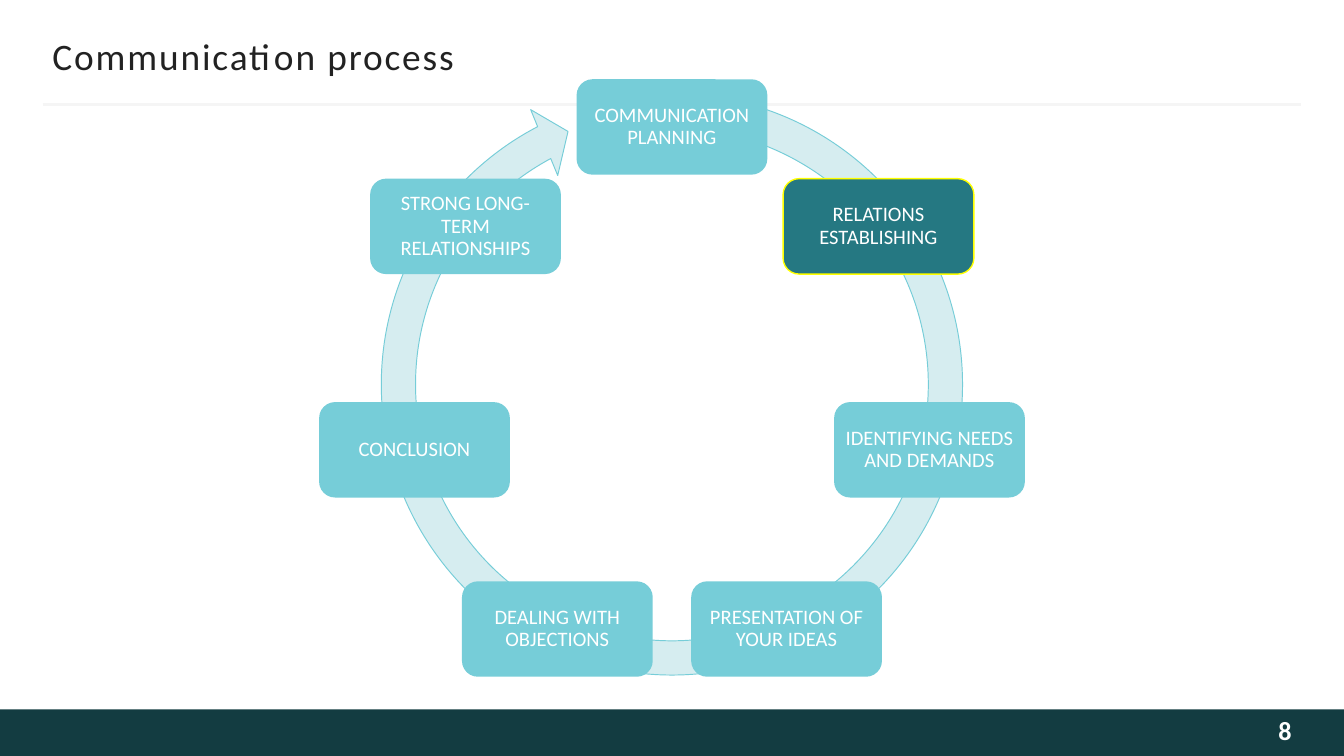
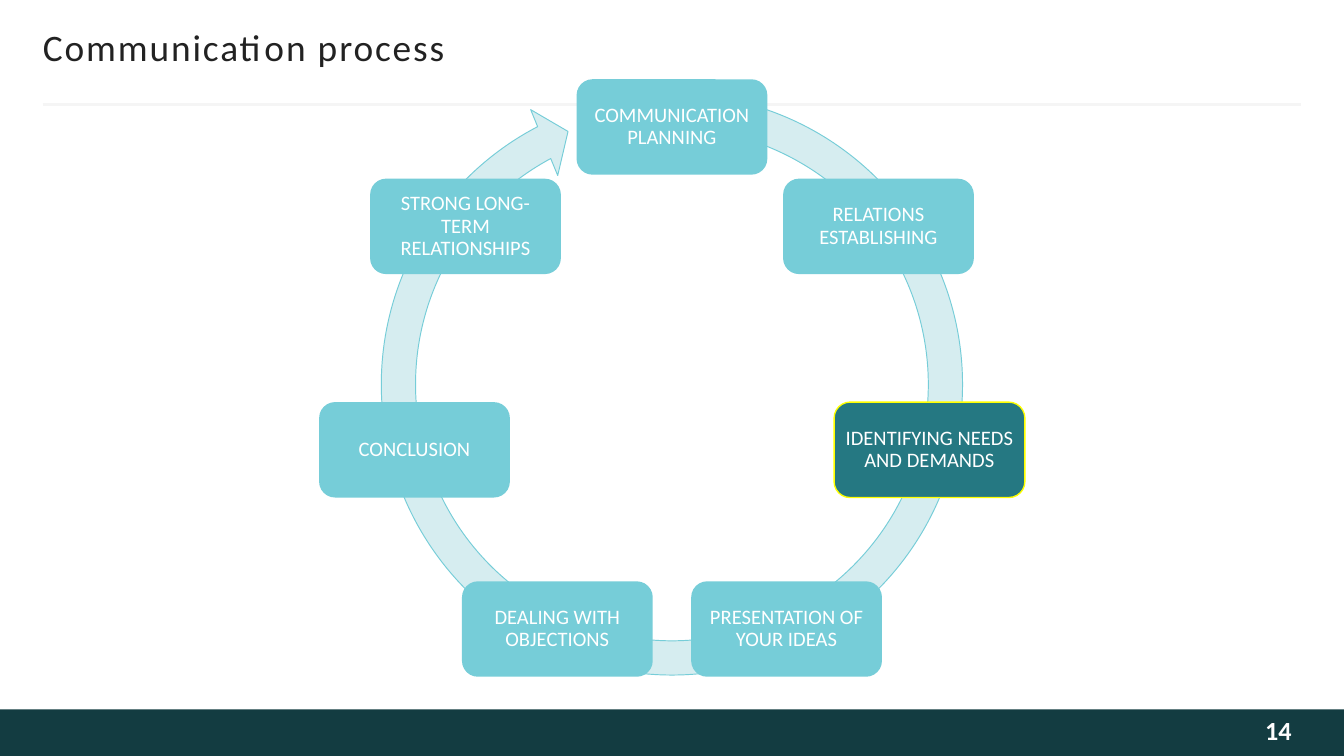
import math
from dataclasses import dataclass

from lxml import etree
from pptx import Presentation
from pptx.dml.color import RGBColor
from pptx.enum import shapes, text
from pptx.oxml.ns import qn
from pptx.util import Pt

FONT = "Calibri"
WHITE = RGBColor(0xFF, 0xFF, 0xFF)
NUMBER_WHITE = RGBColor(0xFE, 0xFE, 0xFE)
INK = RGBColor(0x22, 0x22, 0x22)
RULE_GREY = RGBColor(0xF5, 0xF5, 0xF5)
BAND_GREEN = RGBColor(0x13, 0x3C, 0x41)
STEP_BLUE = RGBColor(0x76, 0xCD, 0xD8)
ARROW_BLUE = RGBColor(0xD6, 0xED, 0xF0)
CURRENT_TEAL = RGBColor(0x25, 0x78, 0x82)
CURRENT_EDGE = RGBColor(0xFF, 0xFF, 0x00)

SLIDE_W, SLIDE_H = 720, 405
BAND_TOP, BAND_H = 380, 25
CENTER_X = SLIDE_W / 2
STEPS_CENTER_Y, STEPS_RADIUS = 209.5, 141.5
STEP_W, STEP_H = 102.2, 51.1
ARROW_CENTER_Y, ARROW_SIZE = 206, 331.2
ARROW_WIDTH_PERCENT, ARROW_HEAD_PERCENT = 5.54, 5.76
ARROW_DEGREES = (5.51, 242.16, 282.37)

STEPS = (
    "COMMUNICATION PLANNING",
    "RELATIONS ESTABLISHING",
    "IDENTIFYING NEEDS AND DEMANDS",
    "PRESENTATION OF YOUR IDEAS",
    "DEALING WITH OBJECTIONS",
    "CONCLUSION",
    "STRONG LONG-TERM RELATIONSHIPS",
)


@dataclass(frozen=True)
class Box:
    left: float
    top: float
    width: float
    height: float

    def lengths(self) -> tuple:
        return Pt(self.left), Pt(self.top), Pt(self.width), Pt(self.height)


@dataclass(frozen=True)
class ProcessPage:
    number: int
    current_step: int
    title_left: float
    title_top: float


PAGES = (
    ProcessPage(8, 1, 28.1, 18),
    ProcessPage(14, 2, 23, 13),
)


def add_filled(slide, kind, box: Box, fill: RGBColor, edge=None, edge_width=0.75):
    shape = slide.shapes.add_shape(kind, *box.lengths())
    shape.shadow.inherit = False
    shape.fill.solid()
    shape.fill.fore_color.rgb = fill
    if edge is None:
        shape.line.fill.background()
    else:
        shape.line.color.rgb = edge
        shape.line.width = Pt(edge_width)
    return shape


def write(shape, words: str, size: float, color: RGBColor, align, insets: tuple):
    frame = shape.text_frame
    frame.word_wrap = True
    frame.vertical_anchor = text.MSO_ANCHOR.MIDDLE
    (frame.margin_left, frame.margin_top,
     frame.margin_right, frame.margin_bottom) = map(Pt, insets)
    paragraph = frame.paragraphs[0]
    paragraph.text = words
    paragraph.alignment = align
    font = paragraph.font
    font.name, font.size = FONT, Pt(size)
    font.color.rgb = color
    return paragraph


def add_frame(slide, page: ProcessPage) -> None:
    add_filled(slide, shapes.MSO_SHAPE.RECTANGLE,
               Box(0, BAND_TOP, SLIDE_W, BAND_H), BAND_GREEN)
    rule = slide.shapes.add_connector(
        shapes.MSO_CONNECTOR.STRAIGHT, Pt(23), Pt(56.2), Pt(697), Pt(56.2))
    rule.line.color.rgb = RULE_GREY
    rule.line.width = Pt(1.5)
    etree.SubElement(rule._element.spPr, qn("a:effectLst"))

    title = slide.shapes.add_textbox(
        *Box(page.title_left, page.title_top, 664, 23.8).lengths())
    heading = write(title, "Communication process", 20, INK,
                    text.PP_ALIGN.LEFT, (0, 3.6, 0, 3.6))
    heading.runs[0].font._element.set("spc", "100")

    number = slide.shapes.add_textbox(*Box(584, BAND_TOP, 108, BAND_H).lengths())
    write(number, str(page.number), 14, NUMBER_WHITE,
          text.PP_ALIGN.RIGHT, (7.2, 3.6, 0, 6.5)).font.bold = True


def add_cycle(slide, current_step: int) -> None:
    arrow = add_filled(
        slide, shapes.MSO_SHAPE.CIRCULAR_ARROW,
        Box(CENTER_X - ARROW_SIZE / 2, ARROW_CENTER_Y - ARROW_SIZE / 2,
            ARROW_SIZE, ARROW_SIZE),
        ARROW_BLUE, STEP_BLUE, 0.5)
    adjustments = (ARROW_WIDTH_PERCENT / 100,
                   *(degrees * 0.6 for degrees in ARROW_DEGREES),
                   ARROW_HEAD_PERCENT / 100)
    for index, value in enumerate(adjustments):
        arrow.adjustments[index] = value

    for index, words in enumerate(STEPS):
        angle = math.tau * index / len(STEPS)
        box = Box(CENTER_X + STEPS_RADIUS * math.sin(angle) - STEP_W / 2,
                  STEPS_CENTER_Y - STEPS_RADIUS * math.cos(angle) - STEP_H / 2,
                  STEP_W, STEP_H)
        fill, edge = ((CURRENT_TEAL, CURRENT_EDGE) if index == current_step
                      else (STEP_BLUE, None))
        step = add_filled(slide, shapes.MSO_SHAPE.ROUNDED_RECTANGLE, box, fill, edge)
        label = write(step, words, 11, WHITE, text.PP_ALIGN.CENTER, (3.6,) * 4)
        label.line_spacing = 0.9


def main() -> None:
    deck = Presentation()
    deck.slide_width, deck.slide_height = Pt(SLIDE_W), Pt(SLIDE_H)
    blank = deck.slide_layouts[6]
    for page in PAGES:
        slide = deck.slides.add_slide(blank)
        add_frame(slide, page)
        add_cycle(slide, page.current_step)
    deck.save("out.pptx")


if __name__ == "__main__":
    main()
